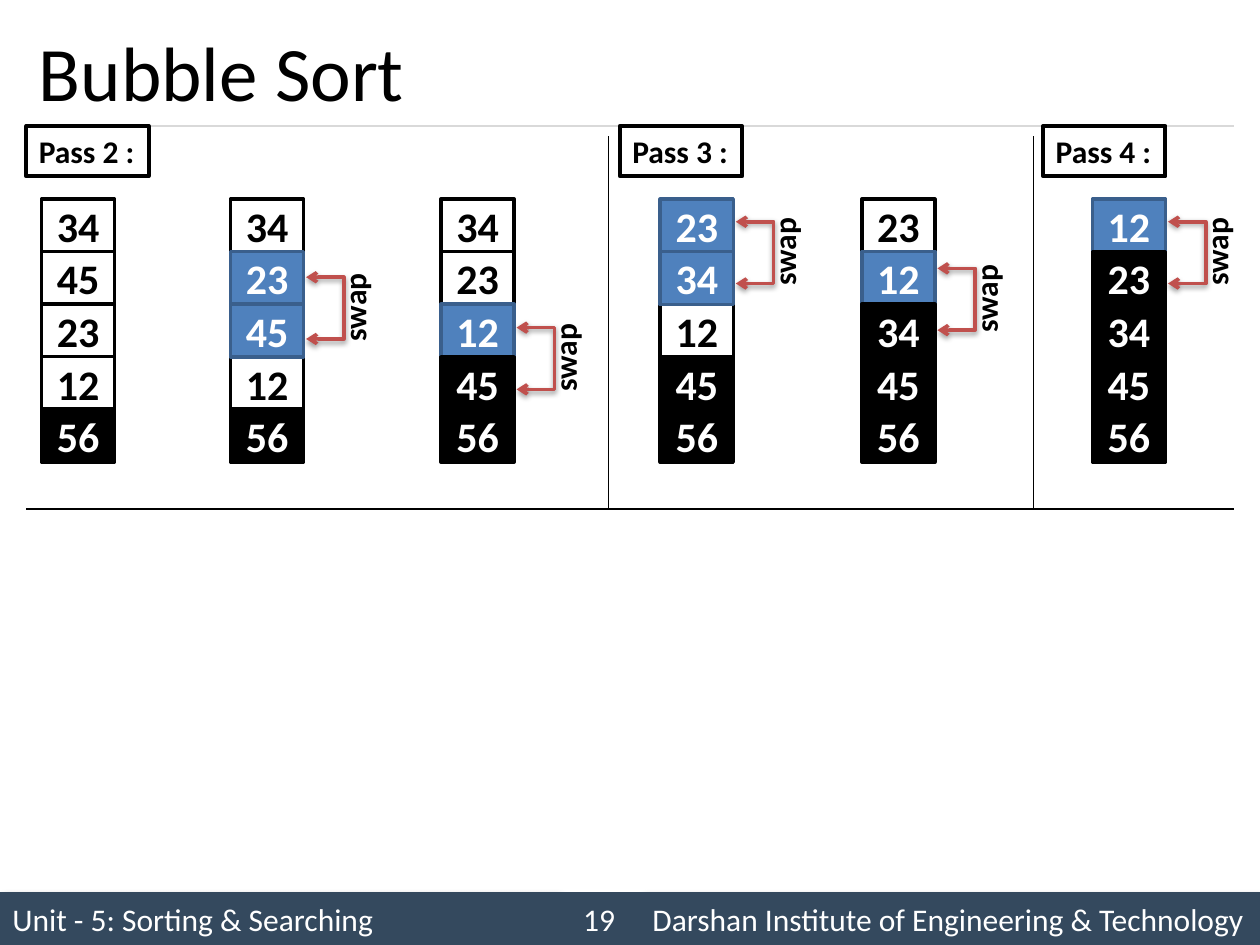
from collections import namedtuple

from lxml import etree
from pptx import Presentation
from pptx.dml.color import RGBColor
from pptx.enum.shapes import MSO_CONNECTOR, MSO_SHAPE
from pptx.enum.text import MSO_ANCHOR, PP_ALIGN
from pptx.oxml.ns import qn
from pptx.util import Inches, Pt

Box = namedtuple("Box", "left top width height")

FONT = "Calibri"
BLACK, WHITE, NAVY, RED = "000000", "FFFFFF", "34495E", "C0504D"
CELL_WIDTH, CELL_HEIGHT, CELL_STEP = 0.58, 0.42, 0.417
CELL_STYLES = {
    "open": {"fill": WHITE, "line": BLACK, "color": BLACK},
    "swapped": {"fill": "4F81BD", "line": "3A5F8C", "color": WHITE},
    "sorted": {"fill": BLACK, "line": BLACK, "color": WHITE},
}
FOOTER_SHADOW = {"alpha": 40, "blur": 4, "distance": 3, "angle": 45}
BRACKET_SHADOW = {"alpha": 38, "blur": 3.1, "distance": 1.6, "angle": 90}

# Each column: left, values, indexes of swapped cells, first sorted index, bracket top
PASSES = [
    ("Pass 2 :", Box(0.21, 1, 4.62, 3.03), [
        (0.33, (34, 45, 23, 12, 56), (), 4, None),
        (1.83, (34, 23, 45, 12, 56), (1, 2), 4, 2.2),
        (3.5, (34, 23, 12, 45, 56), (2,), 3, 2.6),
    ]),
    ("Pass 3 :", Box(4.92, 1, 3.28, 3.03), [
        (5.24, (23, 34, 12, 45, 56), (0, 1), 3, 1.76),
        (6.84, (23, 12, 34, 45, 56), (1,), 2, 2.13),
    ]),
    ("Pass 4 :", Box(8.28, 1, 1.51, 3.03), [
        (8.67, (12, 23, 34, 45, 56), (0,), 1, 1.76),
    ]),
]


def rgb(color):
    return RGBColor.from_string(color)


def inches(box):
    return [Inches(value) for value in box]


def write(shape, text, size, color=BLACK, bold=False, align=PP_ALIGN.LEFT,
          anchor=MSO_ANCHOR.MIDDLE, wrap=True):
    frame = shape.text_frame
    frame.word_wrap = wrap
    frame.vertical_anchor = anchor
    para = frame.paragraphs[0]
    para.alignment = align
    span = para.add_run()
    span.text = text
    for name, value in {"name": FONT, "size": Pt(size), "bold": bold}.items():
        setattr(span.font, name, value)
    span.font.color.rgb = rgb(color)


def add_text(page, box, text, size, **options):
    shape = page.shapes.add_textbox(*inches(box))
    write(shape, text, size, **options)
    return shape


def add_rectangle(page, box, fill=None, line=None, weight=2):
    shape = page.shapes.add_shape(MSO_SHAPE.RECTANGLE, *inches(box))
    shape.shadow.inherit = False
    if fill:
        shape.fill.solid()
        shape.fill.fore_color.rgb = rgb(fill)
    else:
        shape.fill.background()
    if line:
        shape.line.color.rgb = rgb(line)
        shape.line.width = Pt(weight)
    else:
        shape.line.fill.background()
    return shape


def add_rule(page, start, end, color=BLACK):
    rule = page.shapes.add_connector(
        MSO_CONNECTOR.STRAIGHT, *inches(start), *inches(end))
    rule.line.color.rgb = rgb(color)
    rule.line.width = Pt(0.75)
    etree.SubElement(rule._element.spPr, qn("a:effectLst"))


def cast_shadow(shape, alpha, blur, distance, angle):
    shape.shadow.inherit = False
    effects = shape._element.spPr.find(qn("a:effectLst"))
    shadow = etree.SubElement(
        effects, qn("a:outerShdw"), blurRad=str(Pt(blur)), dist=str(Pt(distance)),
        dir=str(angle * 60000), algn="tl", rotWithShape="0")
    color = etree.SubElement(shadow, qn("a:srgbClr"), val=BLACK)
    etree.SubElement(color, qn("a:alpha"), val=str(alpha * 1000))


def add_swap_bracket(page, box):
    """Draw a bracket with an arrow at both ends, and its upright label."""
    right, bottom = box.left + box.width, box.top + box.height
    builder = page.shapes.build_freeform(Inches(box.left), Inches(box.top))
    corners = [(right, box.top), (right, bottom), (box.left, bottom)]
    builder.add_line_segments([inches(corner) for corner in corners], close=False)
    bracket = builder.convert_to_shape()
    bracket.fill.background()
    bracket.line.color.rgb = rgb(RED)
    bracket.line.width = Pt(2)
    outline = bracket._element.spPr.find(qn("a:ln"))
    for end in ("a:headEnd", "a:tailEnd"):
        etree.SubElement(outline, qn(end), type="arrow")
    cast_shadow(bracket, **BRACKET_SHADOW)

    label = add_text(page, Box(box.left + 0.18, box.top - 0.08, 0.5, 0.64), "swap", 18,
                     bold=True, align=PP_ALIGN.CENTER, anchor=MSO_ANCHOR.TOP, wrap=False)
    label.text_frame._txBody.bodyPr.set("vert", "vert270")


def add_column(page, left, top, values, swapped, first_sorted, bracket_top):
    def state(index):
        if index in swapped:
            return "swapped"
        return "sorted" if index >= first_sorted else "open"

    if bracket_top:
        add_swap_bracket(page, Box(left + 0.6, bracket_top, 0.3, 0.49))
    for layer, style in CELL_STYLES.items():
        for index, value in enumerate(values):
            if state(index) == layer:
                box = Box(left, top + index * CELL_STEP, CELL_WIDTH, CELL_HEIGHT)
                cell = add_rectangle(page, box, style["fill"], style["line"])
                write(cell, str(value), 24, style["color"], True, PP_ALIGN.CENTER)


def add_pass(page, box, name, columns):
    label = add_rectangle(page, Box(box.left, box.top, 0.97, 0.4), line=BLACK, weight=2.25)
    write(label, name, 18, bold=True, anchor=MSO_ANCHOR.TOP, wrap=False)
    for left, *cells in columns:
        add_column(page, left, box.top + 0.58, *cells)


def add_heading(page, box):
    add_text(page, box, "Bubble Sort", 44)
    bottom = box.top + box.height
    add_rule(page, (box.left, bottom), (box.left + box.width, bottom), "D9D9D9")


def add_footer(page, box):
    parts = [
        ("Unit - 5: Sorting & Searching", 0, 4.42, PP_ALIGN.LEFT, True),
        ("Darshan Institute of Engineering & Technology", 5.08, 4.92, PP_ALIGN.LEFT, True),
        ("19", 4.42, 0.67, PP_ALIGN.CENTER, False),
    ]
    for text, offset, width, align, shadowed in parts:
        part = add_rectangle(
            page, Box(box.left + offset, box.top, width, box.height), NAVY)
        write(part, text, 18, WHITE, align=align)
        if shadowed:
            cast_shadow(part, **FOOTER_SHADOW)


def main():
    deck = Presentation()
    deck.slide_width, deck.slide_height = Inches(10), Inches(7.5)
    page = deck.slides.add_slide(deck.slide_layouts[6])
    add_footer(page, Box(0, 7.08, 10, 0.42))
    add_heading(page, Box(0.21, 0.12, 9.58, 0.88))
    add_rule(page, (0.21, 4.04), (9.79, 4.04))
    for name, box, columns in PASSES:
        add_pass(page, box, name, columns)
    for _, box, _ in PASSES[:-1]:
        right = box.left + box.width
        add_rule(page, (right, box.top + box.height), (right, box.top + 0.08))
    deck.save("out.pptx")


if __name__ == "__main__":
    main()
